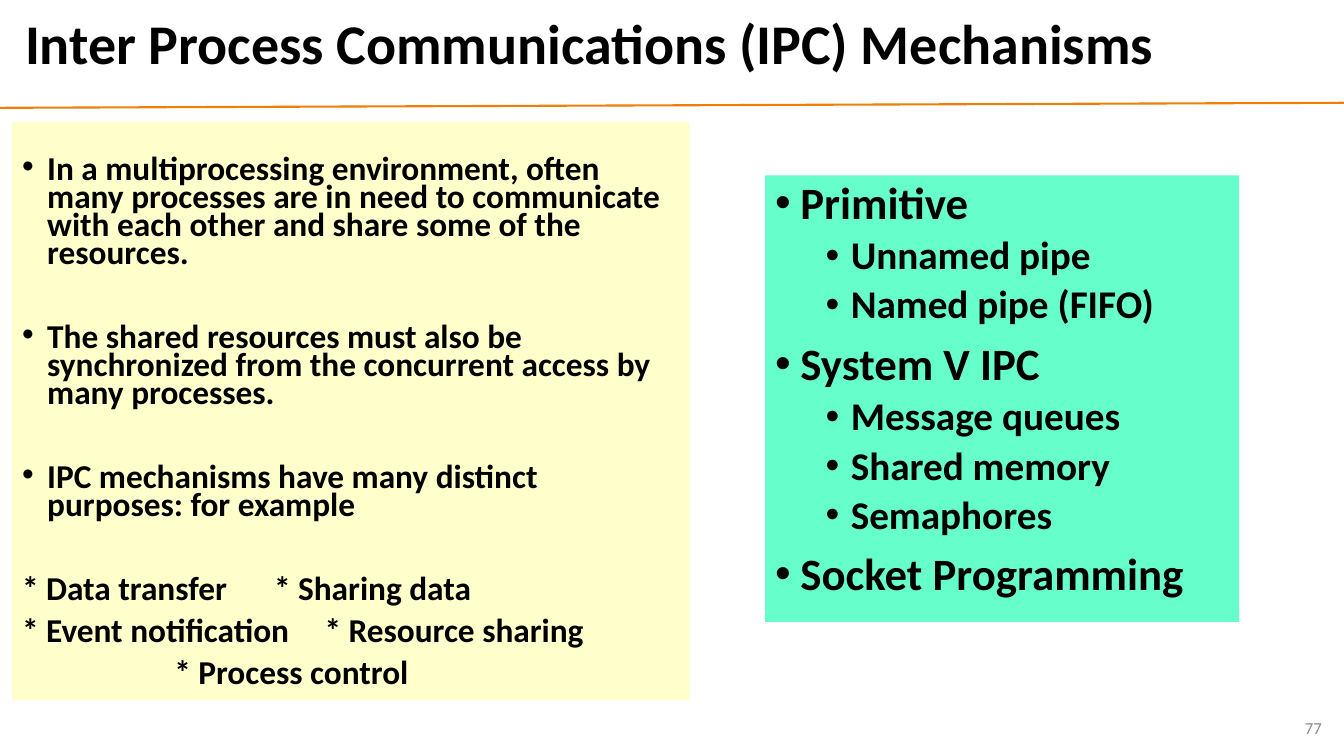
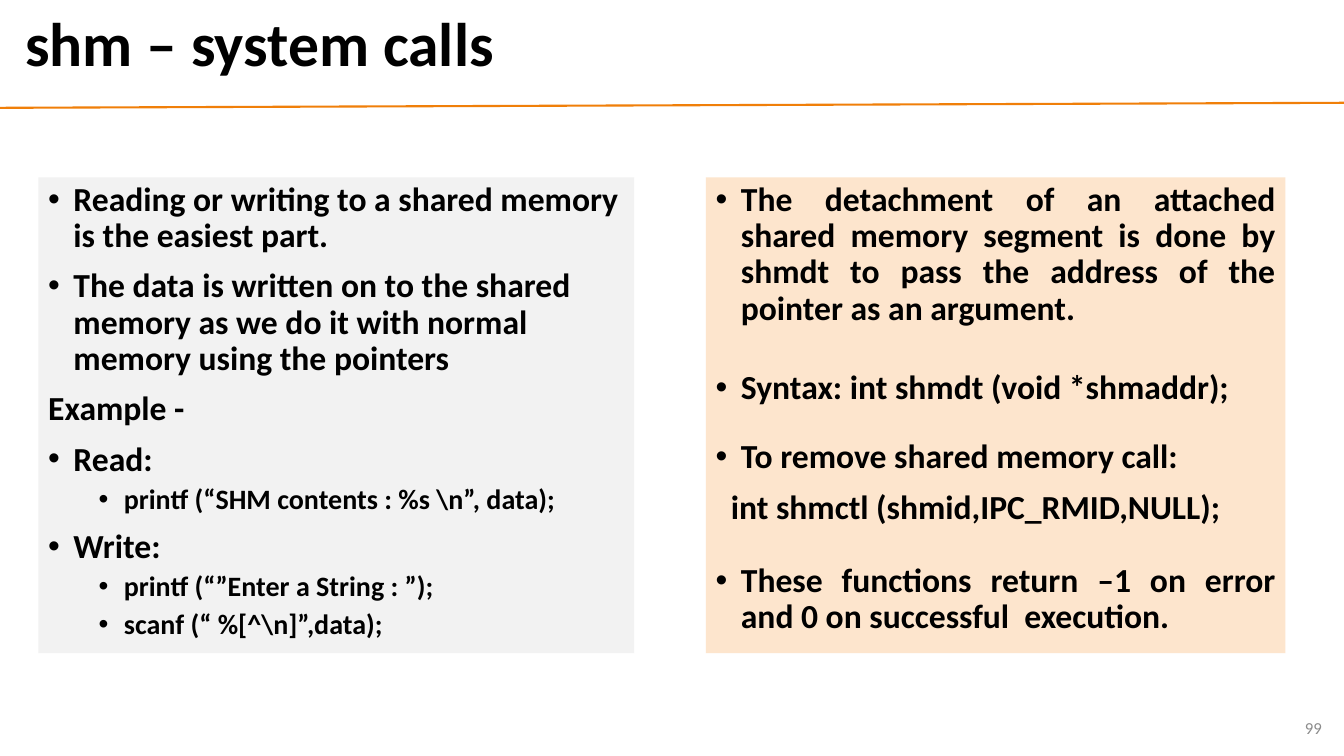
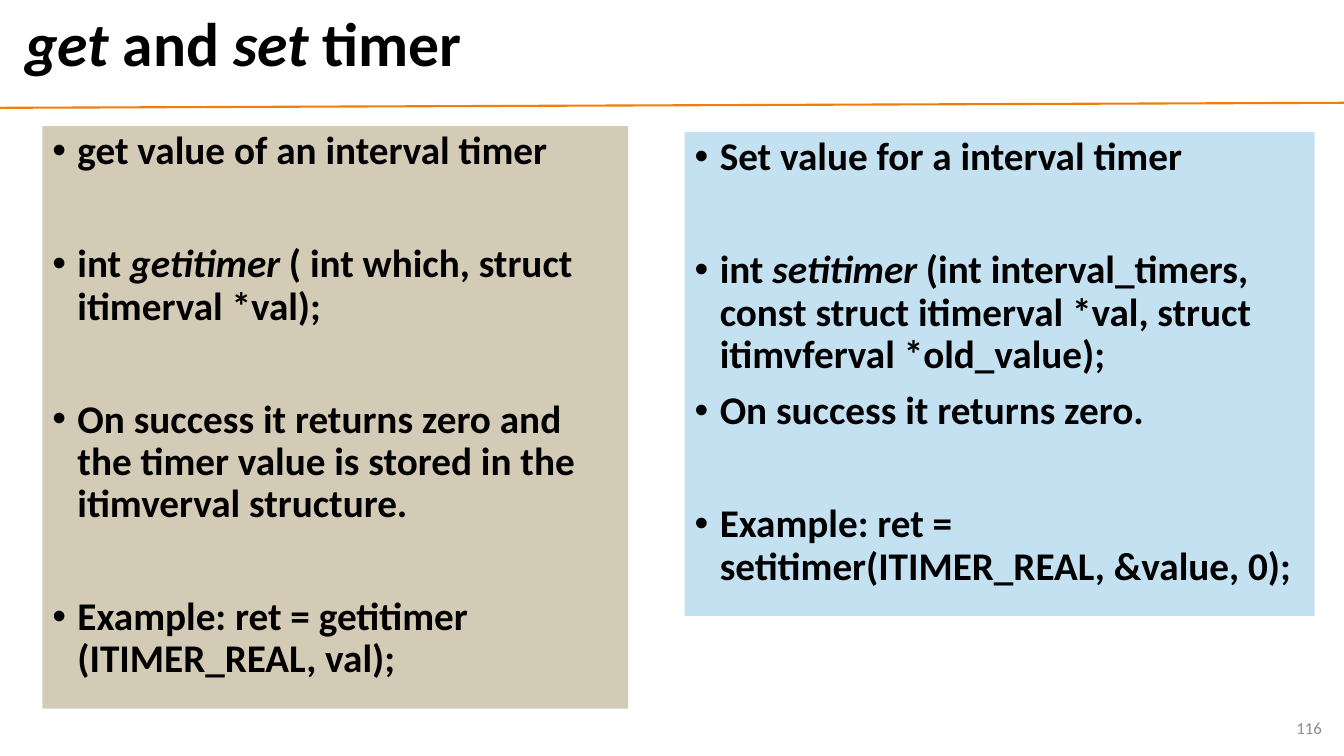
"""Build three slides on inter-process communication and timers."""
from lxml import etree
from pptx import Presentation
from pptx.dml.color import RGBColor
from pptx.enum.shapes import MSO_CONNECTOR, MSO_SHAPE
from pptx.enum.text import MSO_ANCHOR, PP_ALIGN
from pptx.oxml.ns import qn
from pptx.util import Pt

PX = 9144
LEFT, RIGHT, JUSTIFY = PP_ALIGN.LEFT, PP_ALIGN.RIGHT, PP_ALIGN.JUSTIFY
TOP, MIDDLE = MSO_ANCHOR.TOP, MSO_ANCHOR.MIDDLE
RECTANGLE, STRAIGHT = MSO_SHAPE.RECTANGLE, MSO_CONNECTOR.STRAIGHT
FONT = "Calibri"
COLORS = {
    "text": "000000", "number": "8C8C8C", "rule": "F07F09",
    "yellow": "FFFFCC", "mint": "66FFCC", "grey": "F2F2F2",
    "peach": "FDE5CD", "sand": "D3CBB6", "sky": "C4E1F2",
}
KINDS = {
    "bullet": {"margin": 25, "indent": -25, "bullet": True, "level": 0, "before": 10},
    "sub": {"margin": 75, "indent": -25, "bullet": True, "level": 1, "before": 5},
    "plain": {"margin": 0, "indent": 0, "bullet": False, "level": 0, "before": 10},
    "code": {"margin": 15, "indent": 0, "bullet": False, "level": 0, "before": 10},
    "centre": {"margin": 151, "indent": 0, "bullet": False, "level": 0, "before": 10},
}
TAB = 326

SLIDES = [
    {
        "title": "Inter Process Communications (IPC) Mechanisms",
        "title_size": 40,
        "number": "77",
        "panels": [
            {"box": (12, 121, 672, 574), "fill": "yellow", "sizes": (23.8,),
             "spacing": 0.7, "inset": 36, "items": [
                ("bullet", "In a multiprocessing environment, often many processes are in need "
                           "to communicate with each other and share some of the resources."),
                ("bullet", "The shared resources must also be synchronized from the concurrent "
                           "access by many processes.", 40),
                ("bullet", "IPC mechanisms have many distinct purposes: for example", 40),
                ("plain", "* Data transfer\t* Sharing data", 40),
                ("plain", "* Event notification\t* Resource sharing"),
                ("centre", "* Process control"),
            ]},
            {"box": (759, 174, 470, 443), "fill": "mint", "sizes": (32, 28), "items": [
                ("bullet", "Primitive"),
                ("sub", "Unnamed pipe"),
                ("sub", "Named pipe (FIFO)"),
                ("bullet", "System V IPC"),
                ("sub", "Message queues"),
                ("sub", "Shared memory"),
                ("sub", "Semaphores"),
                ("bullet", "Socket Programming"),
            ]},
        ],
    },
    {
        "title": "shm – system calls",
        "number": "99",
        "panels": [
            {"box": (38, 176, 591, 472), "fill": "grey", "sizes": (24, 20), "items": [
                ("bullet", "Reading or writing to a shared memory is the easiest part."),
                ("bullet", "The data is written on to the shared memory as we do it with "
                           "normal memory using the pointers"),
                ("plain", "Example -"),
                ("bullet", "Read:"),
                ("sub", "printf (“SHM contents : %s \\n”, data);"),
                ("bullet", "Write:"),
                ("sub", "printf (“”Enter a String : ”);"),
                ("sub", "scanf (“ %[^\\n]”,data);"),
            ]},
            {"box": (700, 176, 575, 472), "fill": "peach", "sizes": (24,),
             "align": JUSTIFY, "items": [
                ("bullet", "The detachment of an attached shared memory segment is done by "
                           "shmdt to pass the address of the pointer as an argument."),
                ("bullet", "Syntax: int shmdt (void *shmaddr);", 31),
                ("bullet", "To remove shared memory call:", 23.3),
                ("code", "int shmctl (shmid,IPC_RMID,NULL);"),
                ("bullet", "These functions return –1 on error and 0 on successful  execution.",
                 26.6),
            ]},
        ],
    },
    {
        "title": "|get| and |set| timer",
        "number": "116",
        "panels": [
            {"box": (42, 125, 581, 578), "fill": "sand", "sizes": (28,), "items": [
                ("bullet", "get value of an interval timer"),
                ("bullet", "int |getitimer| ( int which, struct itimerval *val);", 50.4),
                ("bullet", "On success it returns zero and the timer value is stored in the "
                           "itimverval structure.", 50.4),
                ("bullet", "Example: ret = getitimer (ITIMER_REAL, val);", 50.4),
            ]},
            {"box": (679, 131, 625, 480), "fill": "sky", "sizes": (28,), "items": [
                ("bullet", "Set value for a interval timer"),
                ("bullet", "int |setitimer| (int interval_timers, const struct itimerval *val, "
                           "struct itimvferval *old_value);", 50.4),
                ("bullet", "On success it returns zero."),
                ("bullet", "Example: ret = setitimer(ITIMER_REAL, &value, 0);", 50.4),
            ]},
        ],
    },
]


def px(*lengths):
    """Turn px lengths into EMU."""
    return [length * PX for length in lengths]


def color(name):
    """Look up a named colour."""
    return RGBColor.from_string(COLORS[name])


def apply(target, values):
    """Set each attribute named in values on the target."""
    for name, value in values.items():
        setattr(target, name, value)


def add_runs(paragraph, text, size, bold=True, ink="text"):
    """Add runs to a paragraph, with text between bars in italics."""
    for index, part in enumerate(text.split("|")):
        if part:
            run = paragraph.add_run()
            run.text = part
            apply(run.font, {"name": FONT, "size": Pt(size), "bold": bold,
                             "italic": index % 2 == 1})
            run.font.color.rgb = color(ink)


def add_label(slide, box, text, size, align=LEFT, **ink):
    """Add a one-line text box centred vertically."""
    frame = slide.shapes.add_textbox(*px(*box)).text_frame
    apply(frame, {"word_wrap": True, "vertical_anchor": MIDDLE})
    paragraph = frame.paragraphs[0]
    apply(paragraph, {"alignment": align, "line_spacing": 0.9})
    add_runs(paragraph, text, size, **ink)


def add_rule(slide):
    """Add the slanted line under the title."""
    rule = slide.shapes.add_connector(STRAIGHT, *px(0, 107, 1333, 102))
    rule.line.color.rgb = color("rule")
    rule.line.width = Pt(1.5)
    etree.SubElement(rule._element.spPr, qn("a:effectLst"))


def set_layout(paragraph, kind, text):
    """Set the indents, bullet and tab stop of a paragraph."""
    properties = paragraph._p.get_or_add_pPr()
    properties.set("marL", str(kind["margin"] * PX))
    properties.set("indent", str(kind["indent"] * PX))
    if kind["bullet"]:
        etree.SubElement(properties, qn("a:buFont"), typeface="Arial")
        etree.SubElement(properties, qn("a:buChar"), char="•")
    else:
        etree.SubElement(properties, qn("a:buNone"))
    if "\t" in text:
        tabs = etree.SubElement(properties, qn("a:tabLst"))
        etree.SubElement(tabs, qn("a:tab"), pos=str(TAB * PX), algn="l")


def add_panel(slide, box, fill, sizes, items, spacing=0.9, inset=5, align=LEFT):
    """Add a filled rectangle with a list of paragraphs."""
    shape = slide.shapes.add_shape(RECTANGLE, *px(*box))
    shape.shadow.inherit = False
    shape.fill.solid()
    shape.fill.fore_color.rgb = color(fill)
    shape.line.fill.background()
    frame = shape.text_frame
    apply(frame, {"word_wrap": True, "vertical_anchor": TOP, "margin_top": inset * PX})
    for index, (name, text, *gap) in enumerate(items):
        kind = KINDS[name]
        paragraph = frame.add_paragraph() if index else frame.paragraphs[0]
        set_layout(paragraph, kind, text)
        before = gap[0] if gap else kind["before"]
        apply(paragraph, {"alignment": align, "level": kind["level"], "line_spacing": spacing,
                          "space_before": Pt(before if index else 0)})
        add_runs(paragraph, text, sizes[kind["level"]])


def main():
    """Build and save the presentation."""
    presentation = Presentation()
    apply(presentation, {"slide_width": 1333 * PX, "slide_height": 750 * PX})
    for content in SLIDES:
        slide = presentation.slides.add_slide(presentation.slide_layouts[6])
        add_rule(slide)
        add_label(slide, (15, 5, 1289, 83), content["title"], content.get("title_size", 44))
        add_label(slide, (1021, 703, 300, 40), content["number"], 12, RIGHT,
                  bold=False, ink="number")
        for panel in content["panels"]:
            add_panel(slide, **panel)
    presentation.save("out.pptx")


if __name__ == "__main__":
    main()
